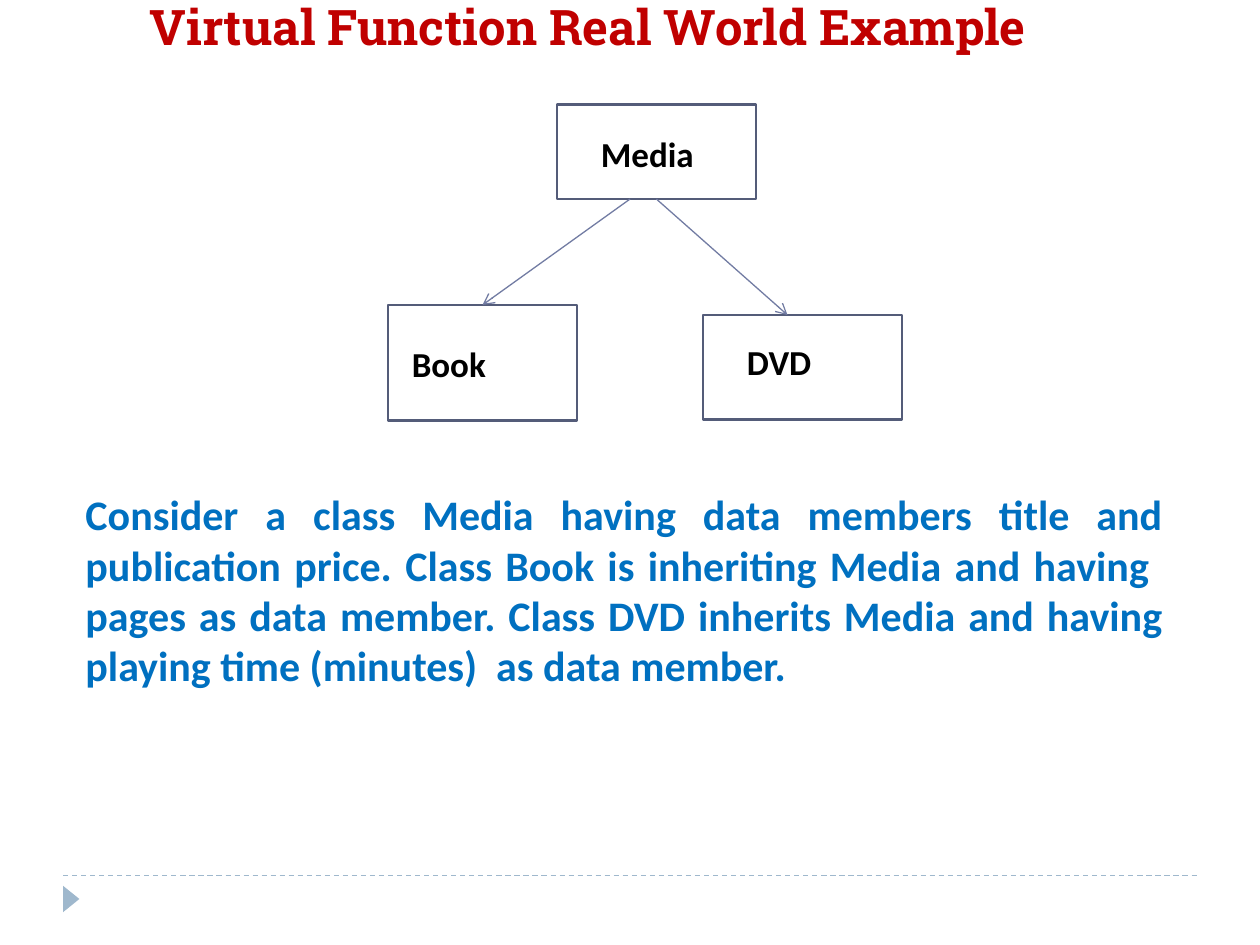
from typing import NamedTuple

from lxml.etree import SubElement
from pptx import Presentation
from pptx.dml.color import RGBColor
from pptx.enum.dml import MSO_LINE
from pptx.enum.shapes import MSO_CONNECTOR, MSO_SHAPE
from pptx.enum.text import PP_ALIGN
from pptx.oxml.ns import qn
from pptx.util import Inches, Pt


class ClassBox(NamedTuple):
    left: float
    top: float
    width: float
    height: float
    name: str
    label_left: float
    label_top: float


class Link(NamedTuple):
    x1: float
    y1: float
    x2: float
    y2: float


CLASSES = [
    ClassBox(4.42, 0.83, 1.58, 0.75, "Media", 4.67, 1),
    ClassBox(3.08, 2.42, 1.5, 0.92, "Book", 3.17, 2.67),
    ClassBox(5.58, 2.5, 1.58, 0.83, "DVD", 5.83, 2.65),
]
INHERITANCE = [Link(5, 1.58, 3.83, 2.42), Link(5.21, 1.58, 6.25, 2.5)]
BODY = (
    "Consider a class Media having data members title and publication price. "
    "Class Book is inheriting Media and having  pages as data member. "
    "Class DVD inherits Media and having playing time (minutes)  as data member."
)


def rgb(value: str) -> RGBColor:
    return RGBColor.from_string(value)


def add_text(s, left: float, top: float, width: float, height: float, text: str,
             size: float, color: str, font: str = "Calibri",
             align: PP_ALIGN = PP_ALIGN.LEFT) -> None:
    tf = s.shapes.add_textbox(Inches(left), Inches(top), Inches(width), Inches(height)).text_frame
    tf.word_wrap = True
    p = tf.paragraphs[0]
    p.text = text
    p.alignment = align
    for r in p.runs:
        r.font.name = font
        r.font.size = Pt(size)
        r.font.bold = True
        r.font.color.rgb = rgb(color)


def add_class(s, box: ClassBox) -> None:
    sp = s.shapes.add_shape(MSO_SHAPE.RECTANGLE, Inches(box.left), Inches(box.top),
                            Inches(box.width), Inches(box.height))
    sp.shadow.inherit = False
    sp.fill.background()
    sp.line.color.rgb = rgb("545C79")
    sp.line.width = Pt(1.5)
    add_text(s, box.label_left, box.label_top, 1.17, 0.44, box.name, 20, "000000")


def add_line(s, link: Link, color: str, dashed: bool = False, arrow: bool = False) -> None:
    sp = s.shapes.add_connector(MSO_CONNECTOR.STRAIGHT, Inches(link.x1), Inches(link.y1),
                                Inches(link.x2), Inches(link.y2))
    sp.line.color.rgb = rgb(color)
    sp.line.width = Pt(0.75)
    if dashed:
        sp.line.dash_style = MSO_LINE.DASH
    if arrow:
        SubElement(sp.line._get_or_add_ln(), qn("a:tailEnd"), type="arrow")
    SubElement(sp._element.spPr, qn("a:effectLst"))


def add_footer(s) -> None:
    add_line(s, Link(0.5, 6.95, 9.5, 6.95), "9FB8CD", dashed=True)
    sp = s.shapes.add_shape(MSO_SHAPE.ISOSCELES_TRIANGLE, Inches(0.46), Inches(7.07),
                            Inches(0.21), Inches(0.13))
    sp.rotation = 90
    sp.shadow.inherit = False
    sp.fill.solid()
    sp.fill.fore_color.rgb = rgb("9FB8CD")
    sp.line.fill.background()


def main() -> None:
    """Build the slide showing Media as the base class of Book and DVD."""
    prs = Presentation()
    prs.slide_width, prs.slide_height = Inches(10), Inches(7.5)
    s = prs.slides.add_slide(prs.slide_layouts[6])
    add_footer(s)
    add_text(s, 0, -0.08, 9.33, 0.72, "Virtual Function Real World Example", 28, "C00000",
             "Roboto Slab", PP_ALIGN.CENTER)
    for box in CLASSES:
        add_class(s, box)
    for link in INHERITANCE:
        add_line(s, link, "727CA3", arrow=True)
    add_text(s, 0.58, 3.83, 8.75, 2.12, BODY, 24, "0070C0", align=PP_ALIGN.JUSTIFY)
    prs.save("out.pptx")


if __name__ == "__main__":
    main()
